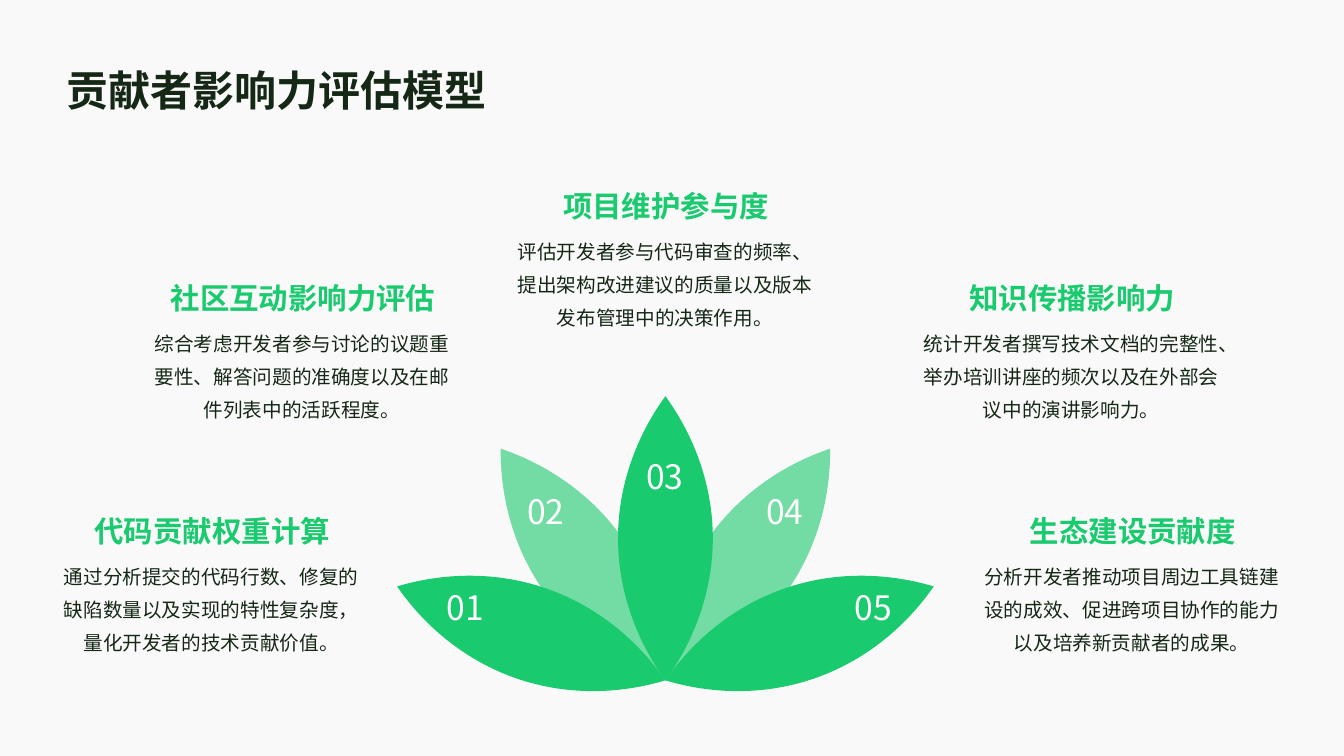
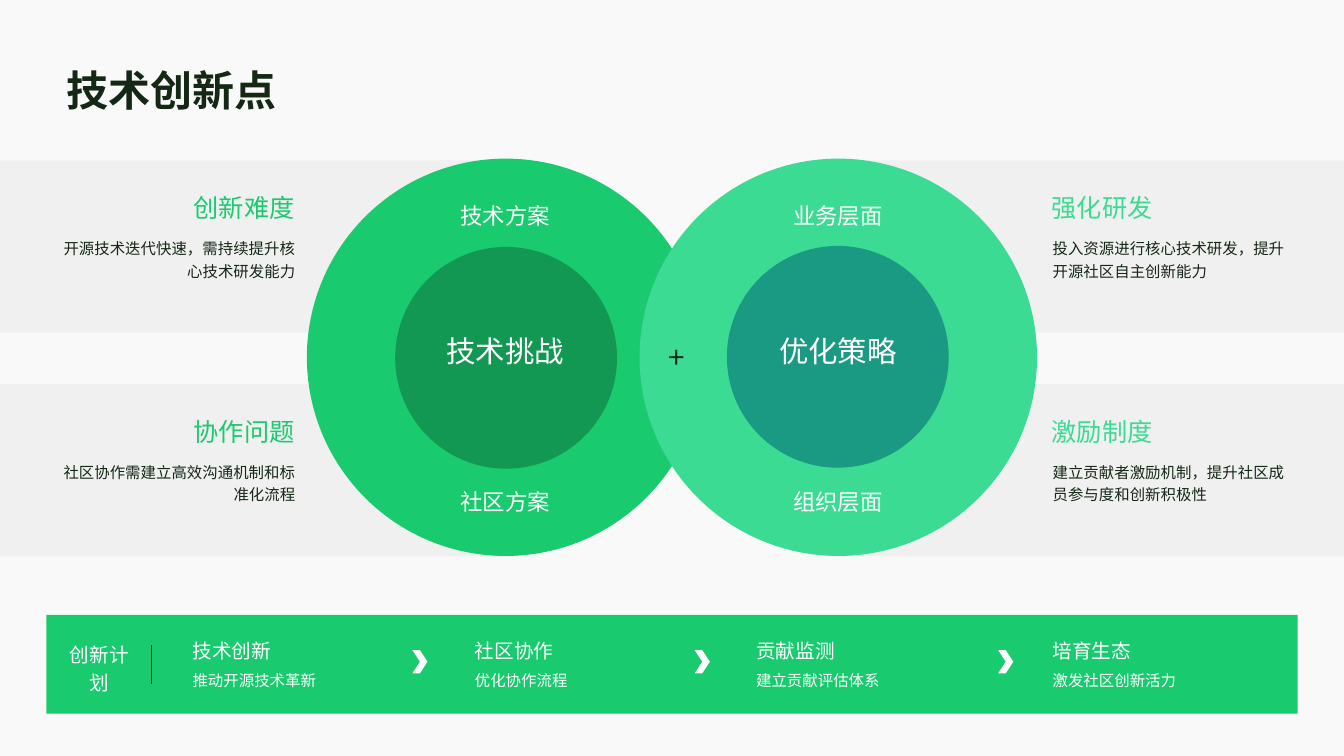
from dataclasses import dataclass, replace
from math import cos, radians, sin

from lxml.etree import SubElement
from pptx import Presentation
from pptx.dml.color import RGBColor
from pptx.enum.shapes import MSO_CONNECTOR, MSO_SHAPE
from pptx.enum.text import MSO_ANCHOR, MSO_AUTO_SIZE, PP_ALIGN
from pptx.oxml.ns import qn
from pptx.util import Inches, Pt


@dataclass(frozen=True)
class Theme:
    font: str = "Noto Sans CJK SC"
    background: str = "F9F9F9"
    ink: str = "152815"
    white: str = "FFFFFF"
    green: str = "1ACA6E"
    mint: str = "3BDB94"
    deep_green: str = "139853"
    teal: str = "1A9983"
    band: str = "D9DEDA"
    title: int = 30
    number: int = 24
    heading: int = 21
    note_heading: int = 18
    ring_label: int = 16
    body: int = 14
    small: int = 11


@dataclass(frozen=True)
class Style:
    size: int
    color: str
    align: PP_ALIGN = PP_ALIGN.LEFT
    bold: bool = False
    spacing: float = 1.0
    before: float = 0
    anchor: MSO_ANCHOR = MSO_ANCHOR.TOP
    inset: tuple = (0, 0, 0, 0)
    grow: bool = True
    wrap: bool = True


THEME = Theme()
CENTER, MIDDLE = PP_ALIGN.CENTER, MSO_ANCHOR.MIDDLE
CAPTION_INSET = (0.07, 0.04, 0.07, 0.04)
LABEL_INSET = (0.1, 0.05, 0.1, 0.05)

TITLE = Style(THEME.title, THEME.ink, bold=True, spacing=1.4, anchor=MIDDLE,
              inset=(0.14, 0.14, 0.06, 0.14), grow=False)
CAPTION_HEADING = Style(THEME.heading, THEME.green, CENTER, True, 1.2,
                        anchor=MIDDLE, inset=CAPTION_INSET, grow=False)
CAPTION_BODY = Style(THEME.body, THEME.ink, CENTER, spacing=1.4,
                     inset=CAPTION_INSET, grow=False)
NUMBER = Style(THEME.number, THEME.white, CENTER, before=3.8,
               anchor=MIDDLE, inset=LABEL_INSET)
CORE_LABEL = Style(THEME.heading, THEME.white, CENTER)
RING_LABEL = Style(THEME.ring_label, THEME.white, CENTER)
PLAN_LABEL = Style(THEME.body, THEME.white, CENTER, spacing=1.2,
                   anchor=MIDDLE, inset=LABEL_INSET)
STEP_HEADING = Style(THEME.body, THEME.white)
STEP_BODY = Style(THEME.small, THEME.white, spacing=1.2)
NOTE_BODY = Style(THEME.small, THEME.ink, spacing=1.2)

PETAL_ANGLES = (70.7, 35.4, -70.7, -35.4, 0)
PETAL_CURVES = (
    ((0, 0), (-0.29, 0.4), (-0.47, 0.89), (-0.47, 1.41)),
    ((-0.47, 1.41), (-0.47, 1.93), (-0.29, 2.42), (0, 2.82)),
    ((0, 2.82), (0.29, 2.42), (0.47, 1.93), (0.47, 1.41)),
    ((0.47, 1.41), (0.47, 0.89), (0.29, 0.4), (0, 0)),
)
CAPTIONS = (
    (0.49, 4.96, "代码贡献权重计算",
     "通过分析提交的代码行数、修复的缺陷数量以及实现的特性复杂度，量化开发者的技术贡献价值。"),
    (1.39, 2.65, "社区互动影响力评估",
     "综合考虑开发者参与讨论的议题重要性、解答问题的准确度以及在邮件列表中的活跃程度。"),
    (4.99, 1.74, "项目维护参与度",
     "评估开发者参与代码审查的频率、提出架构改进建议的质量以及版本发布管理中的决策作用。"),
    (9.02, 2.65, "知识传播影响力",
     "统计开发者撰写技术文档的完整性、举办培训讲座的频次以及在外部会议中的演讲影响力。"),
    (9.62, 4.96, "生态建设贡献度",
     "分析开发者推动项目周边工具链建设的成效、促进跨项目协作的能力以及培养新贡献者的成果。"),
)
NUMBER_SPOTS = ((4.15, 5.76), (4.95, 4.81), (6.13, 4.46), (7.32, 4.81), (8.2, 5.76))
BAND_TOPS = (1.59, 3.81)
LEFT_NOTES = (("创新难度", "开源技术迭代快速，需持续提升核心技术研发能力"),
              ("协作问题", "社区协作需建立高效沟通机制和标准化流程"))
RIGHT_NOTES = (("强化研发", "投入资源进行核心技术研发，提升开源社区自主创新能力"),
               ("激励制度", "建立贡献者激励机制，提升社区成员参与度和创新积极性"))
RINGS = (
    (3.53, THEME.green, (3.92, 2.45), THEME.deep_green,
     4.2, "技术挑战", "技术方案", "社区方案"),
    (6.83, THEME.mint, (7.21, 2.44), THEME.teal,
     7.5, "优化策略", "业务层面", "组织层面"),
)
STEPS = (
    (1.91, 2.18, "技术创新", "推动开源技术革新"),
    (4.71, 2.12, "社区协作", "优化协作流程"),
    (7.5, 2.3, "贡献监测", "建立贡献评估体系"),
    (10.44, 2.42, "培育生态", "激发社区创新活力"),
)
CHEVRON_LEFTS = (4.09, 6.89, 9.9)


def add_text(page, area, words, style):
    box = page.shapes.add_textbox(*map(Inches, area))
    frame = box.text_frame
    frame.word_wrap = style.wrap
    frame.auto_size = MSO_AUTO_SIZE.SHAPE_TO_FIT_TEXT if style.grow else MSO_AUTO_SIZE.NONE
    frame.vertical_anchor = style.anchor
    (frame.margin_left, frame.margin_top,
     frame.margin_right, frame.margin_bottom) = map(Inches, style.inset)
    para = frame.paragraphs[0]
    para.text = words
    para.alignment = style.align
    para.line_spacing = style.spacing
    para.space_before = Pt(style.before)
    para.font.size = Pt(style.size)
    para.font.bold = style.bold
    para.font.color.rgb = RGBColor.from_string(style.color)
    para.font.name = THEME.font
    defaults = para._p.pPr.find(qn("a:defRPr"))
    SubElement(defaults, qn("a:ea"), typeface=THEME.font)


def paint(shape, color, opacity=100):
    shape.shadow.inherit = False
    shape.line.fill.background()
    shape.fill.solid()
    shape.fill.fore_color.rgb = RGBColor.from_string(color)
    if opacity < 100:
        tint = shape._element.spPr.find(qn("a:solidFill")).find(qn("a:srgbClr"))
        SubElement(tint, qn("a:alpha"), val=str(opacity * 1000))


def add_block(page, kind, area, color, opacity=100):
    paint(page.shapes.add_shape(kind, *map(Inches, area)), color, opacity)


def add_ring(page, area, color):
    ring = page.shapes.add_shape(MSO_SHAPE.OVAL, *map(Inches, area))
    ring.shadow.inherit = False
    ring.fill.background()
    ring.line.color.rgb = RGBColor.from_string(color)
    ring.line.width = Pt(70)


def add_divider(page, x, top, bottom):
    line = page.shapes.add_connector(
        MSO_CONNECTOR.STRAIGHT, Inches(x), Inches(top), Inches(x), Inches(bottom))
    line.line.color.rgb = RGBColor.from_string(THEME.ink)
    line.line.width = Pt(0.5)
    SubElement(line._element.spPr, qn("a:effectLst"))


def curve_point(curve, t):
    weights = ((1 - t) ** 3, 3 * t * (1 - t) ** 2, 3 * t ** 2 * (1 - t), t ** 3)
    return tuple(round(sum(w * point[axis] for w, point in zip(weights, curve)))
                 for axis in (0, 1))


def add_curve_step(outline, tag, points, origin):
    step = SubElement(outline, qn(tag))
    for x, y in points:
        SubElement(step, qn("a:pt"), x=str(x - origin[0]), y=str(y - origin[1]))


def add_curved_shape(page, curves):
    reach = [curve_point(curve, i / 50) for curve in curves for i in range(51)]
    low, high = (tuple(pick(axis) for axis in zip(*reach)) for pick in (min, max))
    builder = page.shapes.build_freeform(*low)
    builder.add_line_segments([high], close=True)
    shape = builder.convert_to_shape()
    outline = next(shape._element.iter(qn("a:path")))
    for step in list(outline):
        outline.remove(step)
    add_curve_step(outline, "a:moveTo", curves[0][:1], low)
    for curve in curves:
        add_curve_step(outline, "a:cubicBezTo", curve[1:], low)
    SubElement(outline, qn("a:close"))
    return shape


def add_petal(page, angle, color, opacity):
    base_x, base_y = 6.6, 6.75
    turn = radians(angle)
    curves = [[(Inches(base_x + x * cos(turn) + y * sin(turn)),
                Inches(base_y + x * sin(turn) - y * cos(turn))) for x, y in curve]
              for curve in PETAL_CURVES]
    paint(add_curved_shape(page, curves), color, opacity)


def add_page(deck, title):
    page = deck.slides.add_slide(deck.slide_layouts[6])
    add_text(page, (0.52, 0.29, 12.29, 1), title, TITLE)
    return page


def build_model_page(deck):
    page = add_page(deck, "贡献者影响力评估模型")
    for angle in PETAL_ANGLES:
        add_petal(page, angle, THEME.green, 60 if abs(angle) == 35.4 else 100)
    for left, top, heading, body in CAPTIONS:
        add_text(page, (left + 0.01, top, 3.21, 0.54), heading, CAPTION_HEADING)
        add_text(page, (left, top + 0.51, 3.21, 1.53), body, CAPTION_BODY)
    for index, (left, top) in enumerate(NUMBER_SPOTS, 1):
        add_text(page, (left, top, 0.93, 0.53), f"{index:02}", NUMBER)


def add_notes(page, notes, heading_left, body_left, color, align):
    heading_style = Style(THEME.note_heading, color, align, wrap=False)
    body_style = replace(NOTE_BODY, align=align)
    for top, (heading, body) in zip(BAND_TOPS, notes):
        add_text(page, (heading_left, top + 0.32, 2.92, 0.33), heading, heading_style)
        add_text(page, (body_left, top + 0.75, 2.36, 0.69), body, body_style)


def add_plan(page):
    add_block(page, MSO_SHAPE.RECTANGLE, (0.46, 6.1, 12.41, 0.98), THEME.green)
    add_text(page, (0.52, 6.27, 0.93, 0.68), "创新计划", PLAN_LABEL)
    add_divider(page, 1.5, 6.4, 6.79)
    for left, width, heading, body in STEPS:
        add_text(page, (left, 6.34, width, 0.25), heading, STEP_HEADING)
        add_text(page, (left, 6.62, width, 0.23), body, STEP_BODY)
    for left in CHEVRON_LEFTS:
        add_block(page, MSO_SHAPE.CHEVRON, (left, 6.45, 0.15, 0.23), THEME.white)


def build_innovation_page(deck):
    page = add_page(deck, "技术创新点")
    for top in BAND_TOPS:
        for left in (0, 8.32):
            add_block(page, MSO_SHAPE.RECTANGLE, (left, top, 5.14, 1.71), THEME.band, 30)
    for ring_left, ring_color, core, core_color, label_left, name, upper, lower in RINGS:
        add_ring(page, (ring_left, 2.06, 2.97, 2.97), ring_color)
        add_block(page, MSO_SHAPE.OVAL, (*core, 2.2, 2.2), core_color)
        add_text(page, (label_left, 3.3, 1.62, 0.38), name, CORE_LABEL)
        for top, label in ((2.01, upper), (4.84, lower)):
            add_text(page, (label_left, top, 1.62, 0.28), label, RING_LABEL)
    add_text(page, (5.9, 3.36, 1.62, 0.39), "+", replace(CORE_LABEL, color=THEME.ink))
    add_notes(page, LEFT_NOTES, 0, 0.57, THEME.green, PP_ALIGN.RIGHT)
    add_notes(page, RIGHT_NOTES, 10.43, 10.44, THEME.mint, PP_ALIGN.LEFT)
    add_plan(page)


def main():
    deck = Presentation()
    deck.slide_width, deck.slide_height = Inches(13.33), Inches(7.5)
    backdrop = deck.slide_master.background.fill
    backdrop.solid()
    backdrop.fore_color.rgb = RGBColor.from_string(THEME.background)
    build_model_page(deck)
    build_innovation_page(deck)
    deck.save("out.pptx")


if __name__ == "__main__":
    main()
